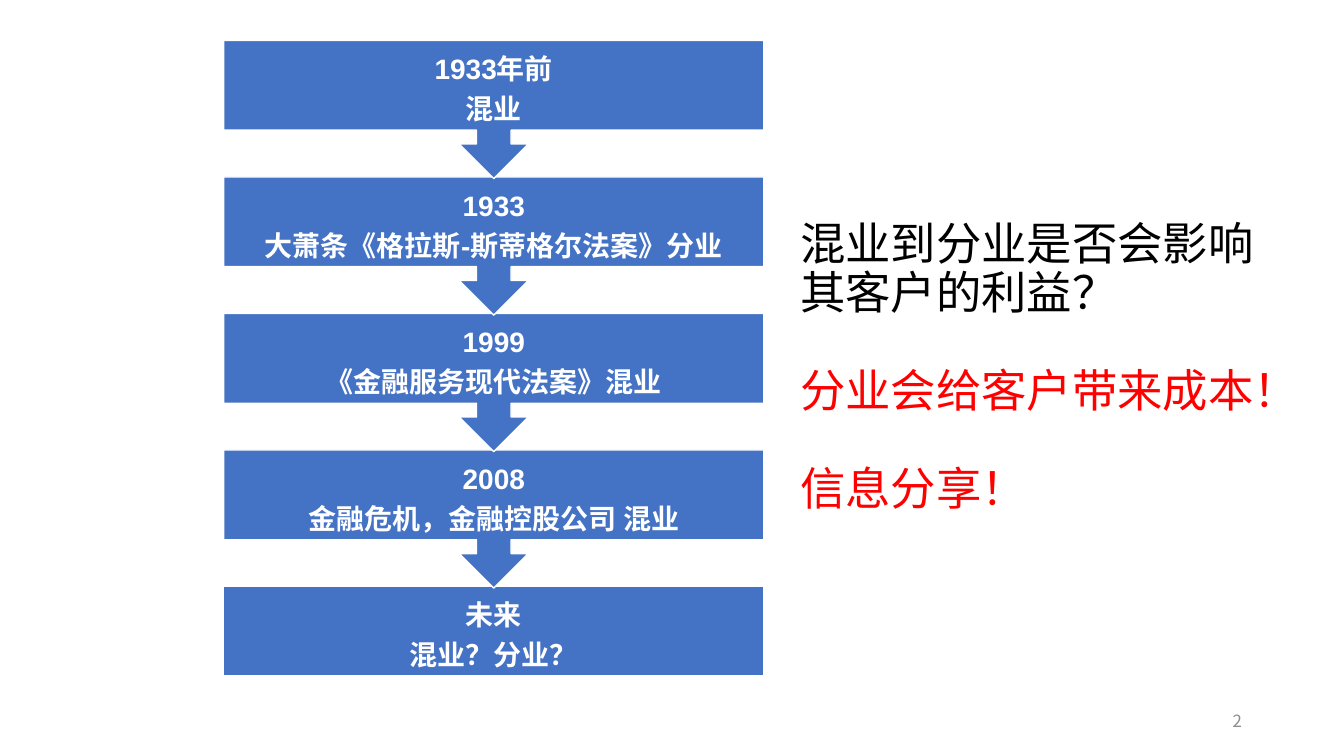
from lxml import etree
from pptx import Presentation
from pptx import util as u
from pptx.dml import color
from pptx.enum import shapes, text
from pptx.oxml import ns


def rgb(value):
    return color.RGBColor.from_string(value)


class TimelineSlide:
    """Hold the style and the current slide, and add its elements."""

    blue, white, black, red, grey = "4472C4", "FFFFFF", "000000", "FF0000", "8C8C8C"
    latin, east_asian = "Arial", "Noto Sans CJK SC"

    def __init__(self, presentation):
        self.slide = presentation.slides.add_slide(presentation.slide_layouts[5])

    def place(self, shape, left, top, width, height):
        shape.left, shape.top = u.Cm(left), u.Cm(top)
        shape.width, shape.height = u.Cm(width), u.Cm(height)

    def add_lines(self, frame, lines, size, alignment, latin, bold=False, pitch=None):
        frame.word_wrap = True
        frame.auto_size = text.MSO_AUTO_SIZE.NONE
        frame.vertical_anchor = text.MSO_ANCHOR.MIDDLE
        for index, (words, hue, gap) in enumerate(lines):
            paragraph = frame.paragraphs[0] if index == 0 else frame.add_paragraph()
            paragraph.alignment = alignment
            paragraph.space_before = u.Pt(gap)
            if pitch:
                paragraph.line_spacing = u.Pt(pitch)
            run = paragraph.add_run()
            run.text = words
            run.font.size, run.font.bold = u.Pt(size), bold
            run.font.name = latin
            run.font.color.rgb = rgb(hue)
            face = etree.SubElement(run.font._element, ns.qn("a:ea"))
            face.set("typeface", self.east_asian)

    def title(self, lines):
        title = self.slide.shapes.title
        self.place(title, 19.91, 3.89, 12.73, 10.74)
        self.add_lines(title.text_frame, lines, 32.4, text.PP_ALIGN.LEFT,
                       self.latin, pitch=35)

    def stage(self, kind, top, height, lines):
        shape = self.slide.shapes.add_shape(kind, 0, 0, 0, 0)
        self.place(shape, 5.64, top, 13.61, height)
        shape.shadow.inherit = False
        shape.fill.solid()
        shape.fill.fore_color.rgb = rgb(self.blue)
        shape.line.color.rgb = rgb(self.white)
        shape.line.width = u.Pt(1)
        frame = shape.text_frame
        frame.margin_left = frame.margin_right = u.Cm(0.41)
        frame.margin_top = frame.margin_bottom = 0
        self.add_lines(frame, [(words, self.white, 0) for words in lines], 20,
                       text.PP_ALIGN.CENTER, self.latin, bold=True, pitch=28.5)

    def page_number(self, number):
        box = self.slide.shapes.add_textbox(0, 0, 0, 0)
        self.place(box, 23.93, 17.65, 7.62, 1.02)
        self.add_lines(box.text_frame, [(number, self.grey, 0)], 12,
                       text.PP_ALIGN.RIGHT, self.east_asian)


def main():
    presentation = Presentation()
    presentation.slide_width, presentation.slide_height = u.Cm(33.87), u.Cm(19.05)
    timeline = TimelineSlide(presentation)
    timeline.title([
        ("混业到分业是否会影响其客户的利益？", timeline.black, 0),
        ("分业会给客户带来成本！", timeline.red, 35),
        ("信息分享！", timeline.red, 35),
    ])
    stages = [
        ("1933年前", "混业"),
        ("1933", "大萧条《格拉斯-斯蒂格尔法案》分业"),
        ("1999", "《金融服务现代法案》混业"),
        ("2008", "金融危机，金融控股公司 混业"),
        ("未来", "混业？分业？"),
    ]
    kinds = shapes.MSO_SHAPE
    for index, lines in reversed(list(enumerate(stages))):
        last = index == len(stages) - 1
        kind = kinds.RECTANGLE if last else kinds.DOWN_ARROW_CALLOUT
        timeline.stage(kind, 1.02 + 3.44 * index, 2.26 if last else 3.48, lines)
    timeline.page_number("2")
    presentation.save("out.pptx")


if __name__ == "__main__":
    main()
